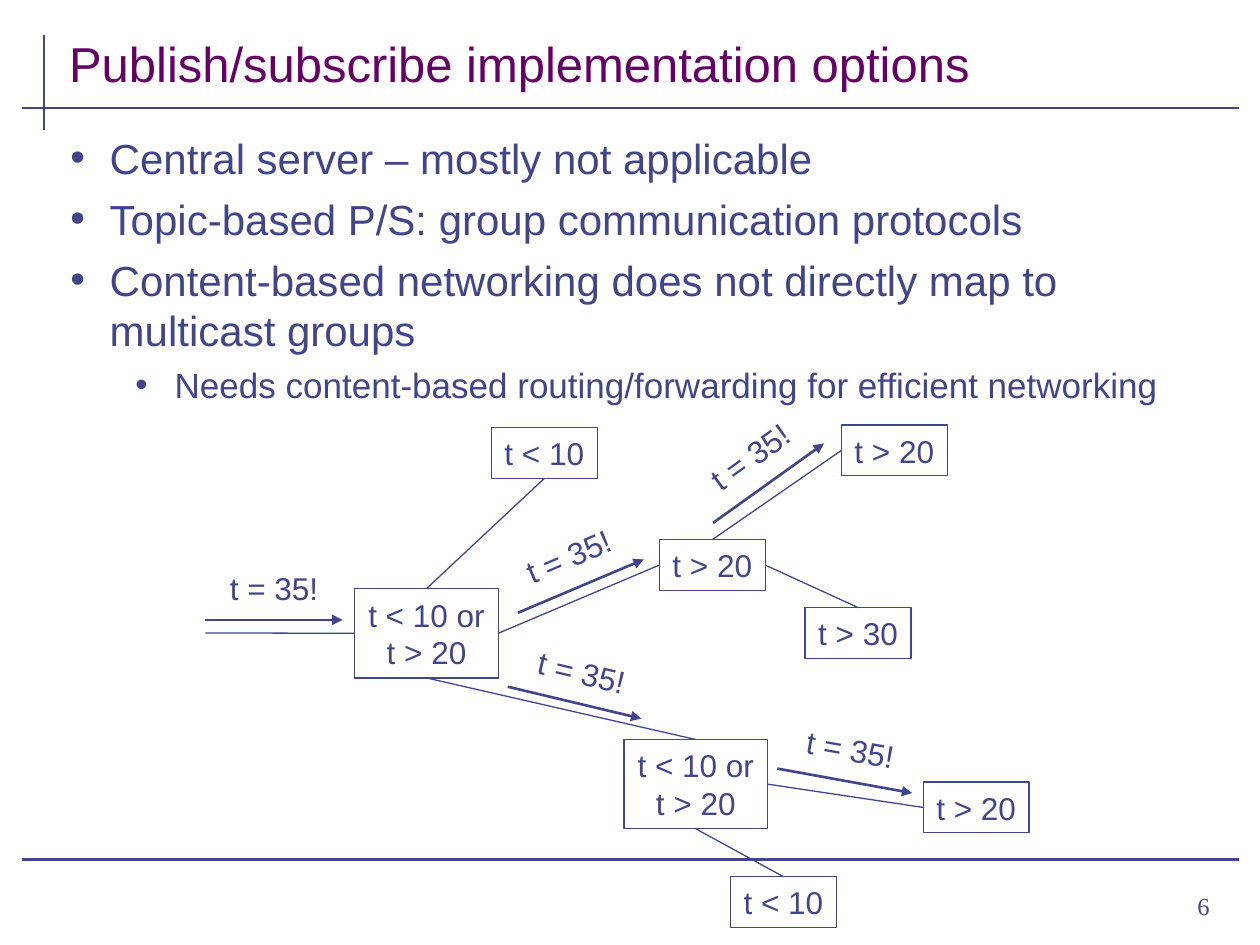
import pptx
import pptx.dml.color
import pptx.enum.shapes
import pptx.enum.text
import pptx.oxml
import pptx.oxml.ns
import pptx.util
from lxml import etree

Pt = pptx.util.Pt
ALIGN = pptx.enum.text.PP_ALIGN
ANCHOR = pptx.enum.text.MSO_ANCHOR

INK, PLUM = "40458C", "660066"
TITLE = "Publish/subscribe implementation options"
BULLETS = [  # level, text
    (0, "Central server – mostly not applicable"),
    (0, "Topic-based P/S: group communication protocols"),
    (0, "Content-based networking does not directly map to multicast groups"),
    (1, "Needs content-based routing/forwarding for efficient networking"),
]
LEVELS = [  # left margin, space before, size
    (22.5, 6, 24),
    (59.6, 5, 20),
]
HANGING = 22.5
RULES = [(25.2, 20.2, 25.2, 74.2), (12.4, 61.8, 707.8, 61.8), (12.4, 491, 707.8, 491)]

EITHER = "t < 10 or\nt > 20"
ROUTERS = {  # left, top, filter
    "entry": (202.7, 336.4, EITHER),
    "low": (280.8, 244.4, "t < 10"),
    "middle": (376.8, 308.4, "t > 20"),
    "top right": (480.8, 242.9, "t > 20"),
    "high": (460.1, 347.2, "t > 30"),
    "branch": (356.6, 422.6, EITHER),
    "right": (527.6, 446.9, "t > 20"),
    "bottom": (417.5, 501, "t < 10"),
}
ONE_LINE, TWO_LINES = (60.5, 29), (82, 51)

TOP, LEFT, BOTTOM, RIGHT = range(4)
LINKS = [
    ("entry", BOTTOM, "branch", TOP),
    ("entry", TOP, "low", BOTTOM),
    ("entry", RIGHT, "middle", LEFT),
    ("middle", TOP, "top right", LEFT),
    ("middle", RIGHT, "high", TOP),
    ("branch", RIGHT, "right", LEFT),
    ("branch", BOTTOM, "bottom", TOP),
]
INBOUND_START = (117.4, 361.7)

EVENT = "t = 35!"
EVENT_SIZE = (64.8, 29)
EVENTS = [  # label left, top, rotation, arrow from x, y, to x, y
    (124.2, 321.4, 0, 117.4, 354.2, 195.8, 354.2),
    (300, 369.6, 13.4, 290.2, 392.4, 366.5, 410.6),
    (292.3, 303.4, 337, 295.9, 350.2, 367.9, 319.7),
    (453.6, 413.5, 10.1, 444.2, 439.2, 521.3, 453.2),
    (396, 246.4, 324.4, 407.5, 298.8, 470.9, 253.4),
]
PAGE = "6"


def color(hex_text):
    return pptx.dml.color.RGBColor.from_string(hex_text)


def style(font, size, ink=INK, name="Arial"):
    font.size, font.name = Pt(size), name
    font.color.rgb = color(ink)


def add_line(shapes, ends, width, arrow=False):
    line = shapes.add_connector(pptx.enum.shapes.MSO_CONNECTOR.STRAIGHT, *map(Pt, ends))
    line.line.color.rgb = color(INK)
    line.line.width = Pt(width)
    if arrow:
        head = etree.SubElement(line.line._get_or_add_ln(), pptx.oxml.ns.qn("a:tailEnd"))
        head.set("type", "triangle")
    etree.SubElement(line._element.spPr, pptx.oxml.ns.qn("a:effectLst"))
    return line


def write(frame, text, size, align, anchor, ink=INK, font_name="Arial"):
    """Fill a frame with one paragraph, breaking lines at newlines."""
    frame.vertical_anchor = anchor
    paragraph = frame.paragraphs[0]
    paragraph.alignment = align
    for number, part in enumerate(text.split("\n")):
        if number:
            paragraph.add_line_break()
        run = paragraph.add_run()
        run.text = part
        style(run.font, size, ink, font_name)


def add_text(shapes, box, wrap=True):
    label = shapes.add_textbox(*map(Pt, box))
    label.text_frame.word_wrap = wrap
    return label


def add_bullets(shapes):
    frame = add_text(shapes, (33.1, 72, 668.2, 409)).text_frame
    for number, (level, text) in enumerate(BULLETS):
        margin, before, size = LEVELS[level]
        paragraph = frame.add_paragraph() if number else frame.paragraphs[0]
        paragraph.level = level
        properties = paragraph._p.get_or_add_pPr()
        properties.set("marL", str(Pt(margin)))
        properties.set("indent", str(-Pt(HANGING)))
        bullet_color = etree.SubElement(properties, pptx.oxml.ns.qn("a:buClr"))
        etree.SubElement(bullet_color, pptx.oxml.ns.qn("a:srgbClr")).set("val", INK)
        etree.SubElement(properties, pptx.oxml.ns.qn("a:buFont")).set("typeface", "Arial")
        etree.SubElement(properties, pptx.oxml.ns.qn("a:buChar")).set("char", "•")
        if number:
            paragraph.space_before = Pt(before)
        run = paragraph.add_run()
        run.text = text
        style(run.font, size)


def add_router(shapes, left, top, text):
    size = TWO_LINES if "\n" in text else ONE_LINE
    router = shapes.add_shape(pptx.enum.shapes.MSO_SHAPE.RECTANGLE, *map(Pt, (left, top, *size)))
    router.shadow.inherit = False
    router.fill.background()
    router.line.color.rgb = color(INK)
    router.line.width = Pt(0.75)
    router.text_frame.word_wrap = False
    write(router.text_frame, text, 18, ALIGN.CENTER, ANCHOR.MIDDLE)
    return router


def main():
    deck = pptx.Presentation()
    deck.slide_width, deck.slide_height = Pt(720), Pt(540)
    shapes = deck.slides.add_slide(deck.slide_layouts[6]).shapes

    for ends in RULES:
        add_line(shapes, ends, 1.5)
    title = add_text(shapes, (32.4, 11.5, 671.8, 44.6))
    write(title.text_frame, TITLE, 28, ALIGN.LEFT, ANCHOR.BOTTOM, PLUM)
    add_bullets(shapes)

    routers = {key: add_router(shapes, *place) for key, place in ROUTERS.items()}
    for source, source_side, target, target_side in LINKS:
        link = add_line(shapes, (0, 0, 0, 0), 0.75)
        link.begin_connect(routers[source], source_side)
        link.end_connect(routers[target], target_side)
    inbound = add_line(shapes, INBOUND_START * 2, 0.75)
    inbound.end_connect(routers["entry"], LEFT)

    for left, top, rotation, *ends in EVENTS:
        label = add_text(shapes, (left, top, *EVENT_SIZE), wrap=False)
        label.rotation = rotation
        write(label.text_frame, EVENT, 18, ALIGN.CENTER, ANCHOR.TOP)
        add_line(shapes, ends, 1.5, arrow=True)

    page = add_text(shapes, (645.8, 499, 52.6, 37.4))
    write(page.text_frame, PAGE, 14, ALIGN.RIGHT, ANCHOR.MIDDLE, font_name="Times New Roman")
    deck.save("out.pptx")


if __name__ == "__main__":
    main()
